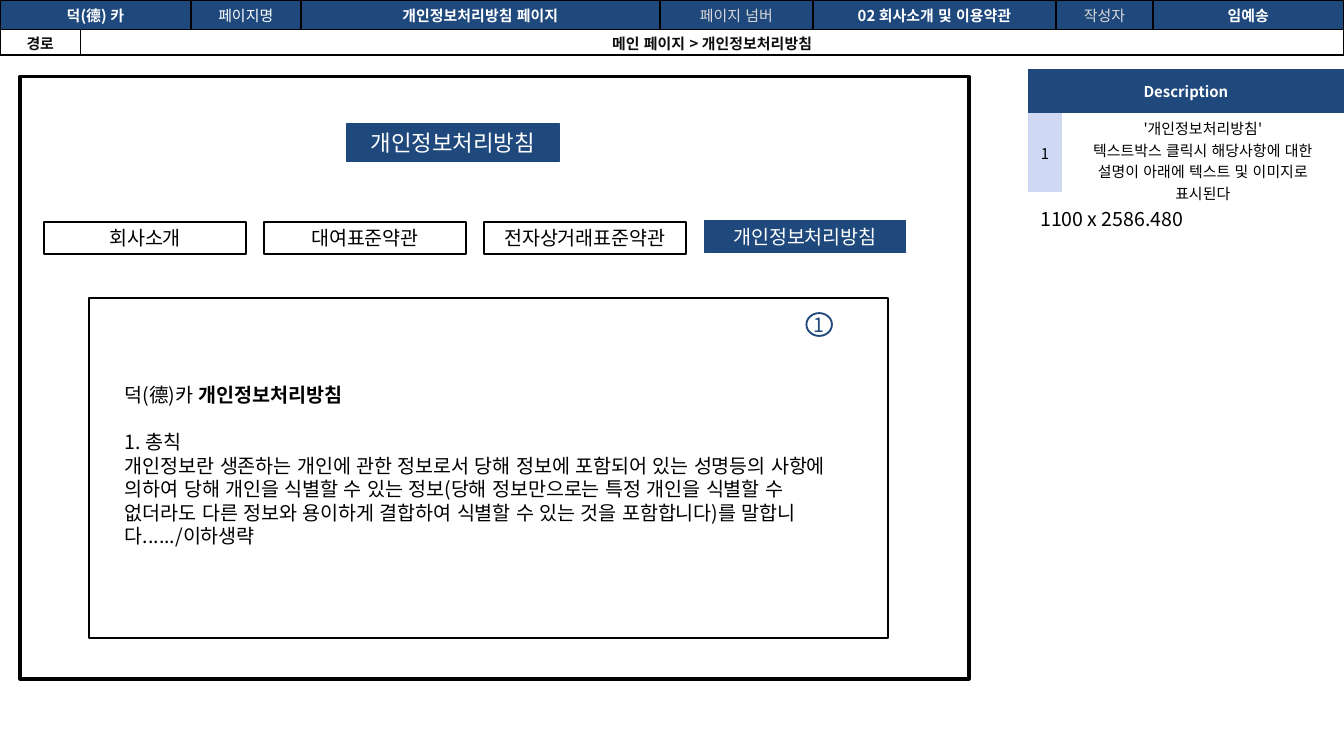
from pptx import Presentation
from pptx import util as u
from pptx.dml.color import RGBColor
from pptx.enum import shapes, text
from pptx.oxml import parse_xml
from pptx.oxml.ns import nsdecls, qn

FONT = "Noto Sans CJK KR"
NAVY = RGBColor(0x1F, 0x49, 0x7D)
PALE = RGBColor(0xCF, 0xD9, 0xF3)
GREY = RGBColor(0xD8, 0xD8, 0xD8)
INK = RGBColor(0x0D, 0x0D, 0x0D)
BLACK = RGBColor(0, 0, 0)
WHITE = RGBColor(0xFF, 0xFF, 0xFF)
PLAIN_TABLE = "{2D5ABB26-0587-4C30-8999-92F81FD0307C}"
RECT = shapes.MSO_SHAPE.RECTANGLE
OVAL = shapes.MSO_SHAPE.OVAL

deck = Presentation()
deck.slide_width = u.Inches(10)
deck.slide_height = u.Inches(10 * 9 / 16)
page = deck.slides.add_slide(deck.slide_layouts[6])


def write(para, words, size=10.5, color=BLACK, bold=False, align=text.PP_ALIGN.CENTER):
    para.alignment = align
    span = para.add_run()
    span.text = words
    span.font.size = u.Pt(size)
    span.font.bold = bold
    span.font.name = FONT
    span.font.color.rgb = color
    props = span.font._element
    props.set("lang", "ko-KR")
    props.find(qn("a:latin")).addnext(
        parse_xml(f'<a:ea {nsdecls("a")} typeface="{FONT}"/>'))


def set_cell(cell, words, fill, margins, **style):
    cell.vertical_anchor = text.MSO_ANCHOR.MIDDLE
    cell.margin_left = cell.margin_right = u.Inches(margins[0])
    cell.margin_top = cell.margin_bottom = u.Inches(margins[1])
    if fill is None:
        cell.fill.background()
    else:
        cell.fill.solid()
        cell.fill.fore_color.rgb = fill
    write(cell.text_frame.paragraphs[0], words, size=8, **style)


boxes = [
    (RECT, 0.15, 0.57, 7.06, 4.48, None, BLACK, 2, "", 10.5, BLACK),
    (RECT, 0.66, 2.22, 5.95, 2.53, None, BLACK, 1, "", 10.5, BLACK),
    (RECT, 2.58, 0.92, 1.58, 0.28, NAVY, NAVY, 0.75, "개인정보처리방침", 12, WHITE),
    (OVAL, 6, 2.33, 0.19, 0.17, WHITE, NAVY, 1, "1", 10.5, NAVY),
]
tabs = ["회사소개", "대여표준약관", "전자상거래표준약관", "개인정보처리방침"]
for index, name in enumerate(tabs):
    active = index == len(tabs) - 1
    boxes.append((RECT, 0.33 + index * 4.91 / 3, 1.64 if active else 1.65, 1.5, 0.24,
                  NAVY if active else WHITE, NAVY if active else BLACK,
                  0.75 if active else 1, name, 10.5, WHITE if active else BLACK))

for kind, left, top, width, height, fill, line, weight, words, size, color in boxes:
    box = page.shapes.add_shape(kind, u.Inches(left), u.Inches(top),
                                u.Inches(width), u.Inches(height))
    box.shadow.inherit = False
    if fill is None:
        box.fill.background()
    else:
        box.fill.solid()
        box.fill.fore_color.rgb = fill
    box.line.color.rgb = line
    box.line.width = u.Pt(weight)
    if words:
        frame = box.text_frame
        frame.word_wrap = False
        frame.vertical_anchor = text.MSO_ANCHOR.MIDDLE
        frame.margin_left = frame.margin_right = 0
        frame.margin_top = frame.margin_bottom = 0
        write(frame.paragraphs[0], words, size=size, color=color)

frames = []
for left, top, width, height in [(0.86, 2.81, 5.61, 1.47), (7.67, 1.5, 2.25, 0.25)]:
    box = page.shapes.add_textbox(u.Inches(left), u.Inches(top),
                                  u.Inches(width), u.Inches(height))
    frame = box.text_frame
    frame.word_wrap = True
    frame.margin_left = frame.margin_right = u.Inches(0.07)
    frame.margin_top = frame.margin_bottom = u.Inches(0.04)
    frames.append(frame)

policy, dimensions = frames
LEFT = text.PP_ALIGN.LEFT
heading = policy.paragraphs[0]
write(heading, "덕(德)카\u00a0", align=LEFT)
write(heading, "개인정보처리방침", bold=True, align=LEFT)
body = policy.add_paragraph()
body.space_before = u.Pt(12.6)
write(body, "1. 총칙", align=LEFT)
body.add_line_break()
write(body, "개인정보란 생존하는 개인에 관한 정보로서 당해 정보에 포함되어 있는 성명등의 사항에 "
            "의하여 당해 개인을 식별할 수 있는 정보(당해 정보만으로는 특정 개인을 식별할 수 "
            "없더라도 다른 정보와 용이하게 결합하여 식별할 수 있는 것을 포함합니다)를 "
            "말합니다....../이하생략", align=LEFT)
write(dimensions.paragraphs[0], "1100 x\u00a02586.480", align=LEFT)
for para in [heading, body, dimensions.paragraphs[0]]:
    para.line_spacing = u.Pt(12.6)

tables = []
for left, top, columns, rows in [
    (0, 0, [0.6, 0.82, 0.82, 2.67, 1.14, 1.81, 0.72, 1.42], [0.22, 0.19]),
    (7.65, 0.51, [0.25, 2.1], [0.33, 0.59]),
]:
    holder = page.shapes.add_table(len(rows), len(columns), u.Inches(left), u.Inches(top),
                                   u.Inches(sum(columns)), u.Inches(sum(rows)))
    table = holder.table
    table.first_row = table.horz_banding = False
    table._tbl.tblPr.find(qn("a:tableStyleId")).text = PLAIN_TABLE
    for column, width in zip(table.columns, columns):
        column.width = u.Inches(width)
    for row, height in zip(table.rows, rows):
        row.height = u.Inches(height)
    tables.append(table)

header, description = tables
header.cell(0, 0).merge(header.cell(0, 1))
header.cell(1, 1).merge(header.cell(1, 7))
for row, column, words, fill, color, bold in [
    (0, 0, "덕(德) 카", NAVY, WHITE, True),
    (0, 2, "페이지명", NAVY, WHITE, False),
    (0, 3, "개인정보처리방침 페이지", NAVY, WHITE, True),
    (0, 4, "페이지 넘버", NAVY, GREY, False),
    (0, 5, "02 회사소개 및 이용약관", NAVY, WHITE, True),
    (0, 6, "작성자", NAVY, GREY, False),
    (0, 7, "임예송", NAVY, WHITE, True),
    (1, 0, "경로", None, INK, True),
    (1, 1, "메인 페이지 > 개인정보처리방침", None, INK, True),
]:
    set_cell(header.cell(row, column), words, fill, (0.05, 0.02), color=color, bold=bold)

for cell in header.iter_cells():
    props = cell._tc.get_or_add_tcPr()
    for position, side in enumerate(["lnL", "lnR", "lnT", "lnB"]):
        props.insert(position, parse_xml(
            f'<a:{side} {nsdecls("a")} w="12700"><a:solidFill>'
            f'<a:srgbClr val="{BLACK}"/></a:solidFill></a:{side}>'))

description.cell(0, 0).merge(description.cell(0, 1))
for row, column, words, fill, color, bold in [
    (0, 0, "Description", NAVY, WHITE, True),
    (1, 0, "1", PALE, BLACK, False),
    (1, 1, "'개인정보처리방침' 텍스트박스\u00a0클릭시\u00a0해당사항에\u00a0대한 "
           "설명이 아래에 텍스트\u00a0및 이미지로 표시된다", WHITE, BLACK, False),
]:
    set_cell(description.cell(row, column), words, fill, (0.08, 0.03), color=color, bold=bold)

deck.save("out.pptx")
